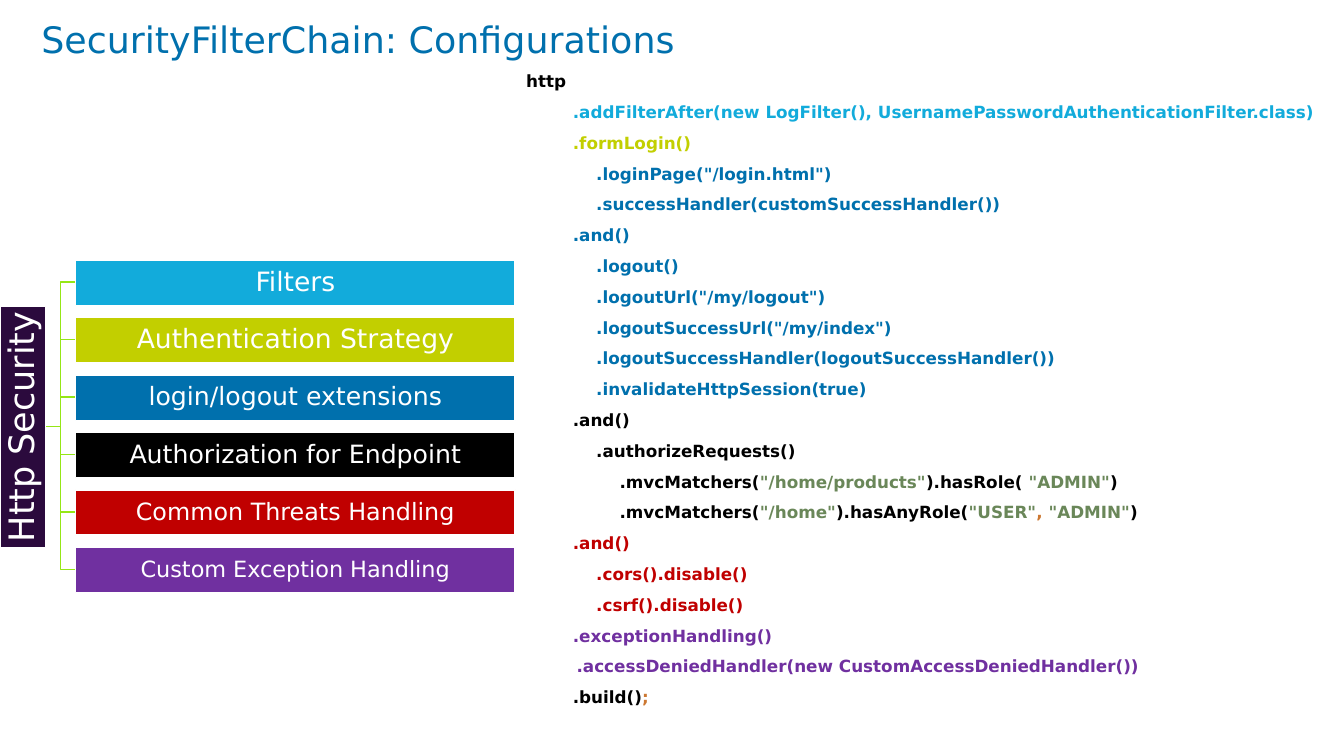
from pptx import Presentation
from pptx.dml.color import RGBColor
from pptx.enum.shapes import MSO_CONNECTOR, MSO_SHAPE
from pptx.enum.text import MSO_ANCHOR, PP_ALIGN
from pptx.oxml.ns import qn
from pptx.util import Inches, Pt
from lxml import etree

ELBOW = MSO_CONNECTOR.ELBOW
RECTANGLE = MSO_SHAPE.RECTANGLE
TOP, MIDDLE = MSO_ANCHOR.TOP, MSO_ANCHOR.MIDDLE
LEFT, CENTER = PP_ALIGN.LEFT, PP_ALIGN.CENTER

PX = Inches(1) // 100
TITLE_ONLY = 5
FONT = "DejaVu Sans"

WHITE = RGBColor(0xFF, 0xFF, 0xFF)
BLACK = RGBColor(0x00, 0x00, 0x00)
BLUE = RGBColor(0x00, 0x70, 0xAD)
SKY = RGBColor(0x12, 0xAB, 0xDB)
LIME = RGBColor(0xC2, 0xCF, 0x00)
RED = RGBColor(0xC0, 0x00, 0x00)
PURPLE = RGBColor(0x70, 0x30, 0xA0)
AUBERGINE = RGBColor(0x2B, 0x0A, 0x3D)
BRANCH_GREEN = RGBColor(0x95, 0xE6, 0x16)
STRING_GREEN = RGBColor(0x6A, 0x87, 0x59)
ORANGE = RGBColor(0xCC, 0x78, 0x32)

TOPICS = [
    ("Filters", SKY, 19),
    ("Authentication Strategy", LIME, 19),
    ("login/logout extensions", BLUE, 18),
    ("Authorization for Endpoint", BLACK, 18),
    ("Common Threats Handling", RED, 17),
    ("Custom Exception Handling", PURPLE, 16),
]

CODE = [
    [("http", BLACK)],
    [("        .addFilterAfter(new LogFilter(), UsernamePasswordAuthenticationFilter.class)", SKY)],
    [("        .formLogin()", LIME)],
    [('            .loginPage("/login.html")', BLUE)],
    [("            .successHandler(customSuccessHandler())", BLUE)],
    [("        .and()", BLUE)],
    [("            .logout()", BLUE)],
    [('            .logoutUrl("/my/logout")', BLUE)],
    [('            .logoutSuccessUrl("/my/index")', BLUE)],
    [("            .logoutSuccessHandler(logoutSuccessHandler())", BLUE)],
    [("            .invalidateHttpSession(true)", BLUE)],
    [("        .and()", BLACK)],
    [("            .authorizeRequests()", BLACK)],
    [("                .mvcMatchers(", BLACK), ('"/home/products"', STRING_GREEN),
     (").hasRole( ", BLACK), ('"ADMIN"', STRING_GREEN), (")", BLACK)],
    [("                .mvcMatchers(", BLACK), ('"/home"', STRING_GREEN),
     (").hasAnyRole(", BLACK), ('"USER"', STRING_GREEN), (", ", ORANGE),
     ('"ADMIN"', STRING_GREEN), (")", BLACK)],
    [("        .and()", RED)],
    [("            .cors().disable()", RED)],
    [("            .csrf().disable()", RED)],
    [("        .exceptionHandling()", PURPLE)],
    [("        \t.accessDeniedHandler(new CustomAccessDeniedHandler())", PURPLE)],
    [("        .build()", BLACK), (";", ORANGE)],
]


def set_font(paragraph, size, color=None, bold=False):
    """Give a paragraph the deck font."""
    font = paragraph.font
    font.name, font.size, font.bold = FONT, Pt(size), bold
    if color is not None:
        font.color.rgb = color


def place_title(page, left, top, width, height):
    """Place and format the slide title."""
    title = page.shapes.title
    title.left, title.top = left * PX, top * PX
    title.width, title.height = width * PX, height * PX
    frame = title.text_frame
    frame.text = "SecurityFilterChain: Configurations"
    frame.vertical_anchor = TOP
    paragraph = frame.paragraphs[0]
    paragraph.alignment = LEFT
    paragraph.line_spacing = 0.9
    set_font(paragraph, 26, BLUE)


def add_label(page, left, top, width, height, text, fill, size):
    """Add a filled rectangle with a centred white label."""
    box = page.shapes.add_shape(RECTANGLE, left * PX, top * PX, width * PX, height * PX)
    box.shadow.inherit = False
    box.fill.solid()
    box.fill.fore_color.rgb = fill
    box.line.color.rgb = WHITE
    box.line.width = Pt(1)
    frame = box.text_frame
    frame.word_wrap = True
    frame.vertical_anchor = MIDDLE
    frame.margin_left = frame.margin_right = frame.margin_top = frame.margin_bottom = PX
    frame.text = text
    paragraph = frame.paragraphs[0]
    paragraph.alignment = CENTER
    paragraph.line_spacing = 0.9
    set_font(paragraph, size, WHITE)
    return box


def add_branch(page, start_x, start_y, end_x, end_y):
    """Add an elbow line from the root to a topic."""
    branch = page.shapes.add_connector(
        ELBOW, start_x * PX, start_y * PX, end_x * PX, end_y * PX)
    branch.line.color.rgb = BRANCH_GREEN
    branch.line.width = Pt(1)
    etree.SubElement(branch._element.spPr, qn("a:effectLst"))


def add_topic_tree(page, left, top, width, height):
    """Add the rotated root and its column of topics."""
    bar, gap, root_length, pitch = 45, 30, 239, 57
    middle = top + height // 2
    topics_left = left + bar + gap
    for row in range(len(TOPICS)):
        add_branch(page, left + bar, middle, topics_left, top + row * pitch + bar // 2)
    root = add_label(page, left + (bar - root_length) // 2, middle - bar // 2,
                     root_length, bar, "Http Security", AUBERGINE, 25)
    root.rotation = 270
    for row, (text, fill, size) in enumerate(TOPICS):
        add_label(page, topics_left, top + row * pitch,
                  width - bar - gap, bar, text, fill, size)


def add_code(page, left, top, width, height):
    """Add the coloured configuration code."""
    box = page.shapes.add_textbox(left * PX, top * PX, width * PX, height * PX)
    frame = box.text_frame
    frame.word_wrap = True
    for number, line in enumerate(CODE):
        paragraph = frame.add_paragraph() if number else frame.paragraphs[0]
        paragraph.line_spacing = Pt(22)
        set_font(paragraph, 12, bold=True)
        for text, color in line:
            span = paragraph.add_run()
            span.text = text
            span.font.color.rgb = color


def main():
    """Build and save the deck."""
    deck = Presentation()
    deck.slide_width, deck.slide_height = 1333 * PX, 750 * PX
    page = deck.slides.add_slide(deck.slide_layouts[TITLE_ONLY])
    place_title(page, 31, 17, 1150, 104)
    add_topic_tree(page, 0, 258, 511, 330)
    add_code(page, 512, 55, 821, 660)
    deck.save("out.pptx")


if __name__ == "__main__":
    main()
